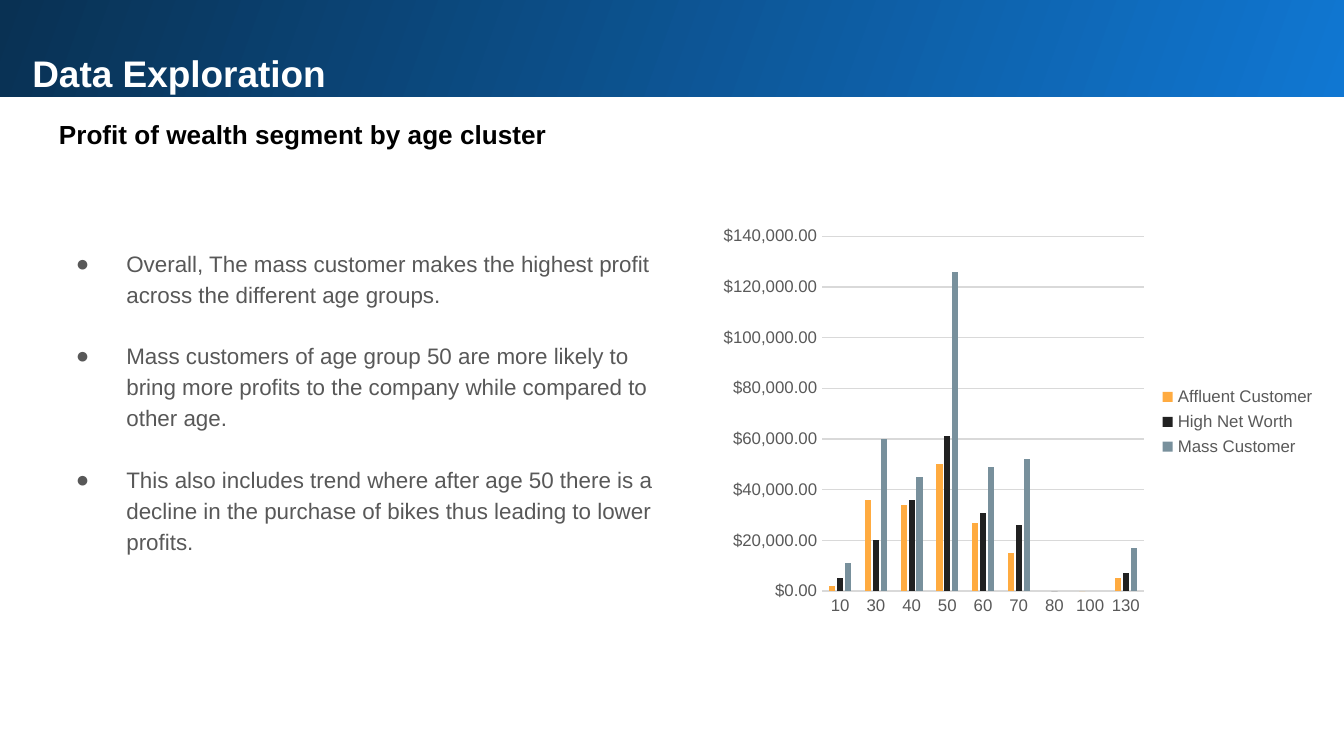
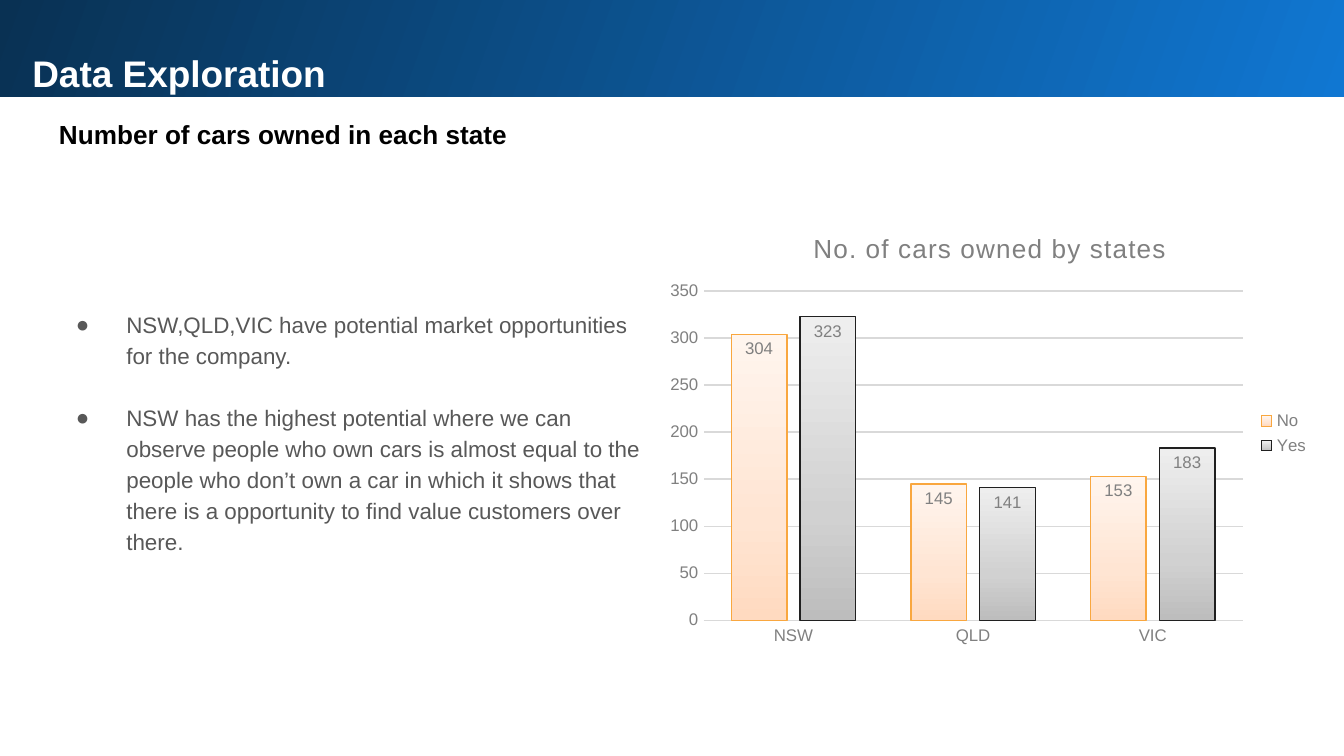
from copy import deepcopy

from lxml import etree
from pptx import Presentation
from pptx.chart.data import CategoryChartData
from pptx.dml.color import RGBColor
from pptx.enum.chart import (XL_CHART_TYPE, XL_LABEL_POSITION,
                             XL_LEGEND_POSITION, XL_TICK_MARK)
from pptx.enum.text import MSO_ANCHOR, MSO_AUTO_SIZE, PP_ALIGN
from pptx.oxml.ns import qn
from pptx.util import Pt

COLUMNS = XL_CHART_TYPE.COLUMN_CLUSTERED
INSIDE_END = XL_LABEL_POSITION.INSIDE_END
LEGEND_RIGHT = XL_LEGEND_POSITION.RIGHT
NO_TICK = XL_TICK_MARK.NONE
TOP, BOTTOM = MSO_ANCHOR.TOP, MSO_ANCHOR.BOTTOM
NO_AUTOFIT = MSO_AUTO_SIZE.NONE
LEFT = PP_ALIGN.LEFT

WHITE = RGBColor(0xFF, 0xFF, 0xFF)
BLACK = RGBColor(0x00, 0x00, 0x00)
BODY_GRAY = RGBColor(0x58, 0x58, 0x58)
AXIS_GRAY = RGBColor(0x59, 0x59, 0x59)
MID_GRAY = RGBColor(0x80, 0x80, 0x80)
GRID_GRAY = RGBColor(0xD9, 0xD9, 0xD9)
BAND_BLUE = RGBColor(0x10, 0x77, 0xD2)
BAND_NAVY = RGBColor(0x09, 0x31, 0x53)
AMBER = RGBColor(0xFF, 0xAB, 0x40)
CHARCOAL = RGBColor(0x21, 0x21, 0x21)
SLATE = RGBColor(0x78, 0x90, 0x9C)
ORANGE_LINE = RGBColor(0xF9, 0xA7, 0x3F)
DARK_LINE = RGBColor(0x20, 0x20, 0x20)
PEACH_STOPS = ((0, RGBColor(0xFF, 0xDA, 0xC0)), (0.35, RGBColor(0xFF, 0xE5, 0xD3)),
               (1, RGBColor(0xFF, 0xF5, 0xEE)))
SILVER_STOPS = ((0, RGBColor(0xBD, 0xBD, 0xBD)), (0.35, RGBColor(0xD1, 0xD1, 0xD1)),
                (1, RGBColor(0xEE, 0xEE, 0xEE)))
BAND_STOPS = ((0, BAND_BLUE), (1, BAND_NAVY))

FONT = "Arial"
SLIDE_WIDTH, SLIDE_HEIGHT = 720, 405
BAND_HEIGHT = 51.84
MARGIN = 24.5
BODY_LINE = 16.5


def place(shape, left, top, width, height):
    """Set the position and size of a shape in points."""
    shape.left, shape.top = Pt(left), Pt(top)
    shape.width, shape.height = Pt(width), Pt(height)


def style_font(font, size, color, bold=False):
    """Give a font the shared typeface and its own size and colour."""
    font.name, font.size, font.bold = FONT, Pt(size), bold
    font.color.rgb = color


def write_text(shape, lines, size=12, color=BLACK, bold=False, anchor=TOP,
               insets=(7.2, 3.6, 7.2, 3.6), line_spacing=1.0, gap=0):
    """Write paragraphs into a shape and return them."""
    frame = shape.text_frame
    frame.word_wrap, frame.auto_size = True, NO_AUTOFIT
    frame.vertical_anchor = anchor
    (frame.margin_left, frame.margin_top,
     frame.margin_right, frame.margin_bottom) = map(Pt, insets)
    frame.text = "\n".join(lines)
    for paragraph in frame.paragraphs:
        paragraph.alignment = LEFT
        paragraph.line_spacing = line_spacing
        paragraph.space_before, paragraph.space_after = Pt(0), Pt(gap)
        style_font(paragraph.runs[0].font, size, color, bold)
    return frame.paragraphs


def add_bullet(paragraph):
    """Give a paragraph a round bullet with a hanging indent."""
    properties = paragraph._p.get_or_add_pPr()
    properties.set("marL", str(Pt(36)))
    properties.set("indent", str(Pt(-27)))
    bullet_color = etree.SubElement(properties, qn("a:buClr"))
    etree.SubElement(bullet_color, qn("a:srgbClr"), val=str(BODY_GRAY))
    etree.SubElement(properties, qn("a:buFont"), typeface=FONT)
    etree.SubElement(properties, qn("a:buChar"), char="●")


def fill_gradient(element, fill, stops, angle):
    """Fill with a linear gradient through the given stops."""
    fill.gradient()
    fill.gradient_angle = angle
    stop_list = element.xpath(".//a:gsLst")[0]
    while len(stop_list) < len(stops):
        stop_list.append(deepcopy(stop_list[0]))
    for stop, (position, color) in zip(fill.gradient_stops, stops):
        stop.position = position
        stop.color.rgb = color


def add_exploration_slide(presentation, subtitle, bullets, body_width, lines_above):
    """Add a slide with the title band, a subtitle and a bullet list."""
    slide = presentation.slides.add_slide(presentation.slide_layouts[1])
    title, body = slide.placeholders
    place(title, 0, 0, SLIDE_WIDTH, BAND_HEIGHT)
    fill_gradient(title._element, title.fill, BAND_STOPS, 160)
    write_text(title, ["Data Exploration"], size=19.8, color=WHITE, bold=True,
               anchor=BOTTOM, insets=(17.3, 0, 3.6, 1))
    place(body, MARGIN, 91.5, body_width, 281.5)
    for paragraph in write_text(body, bullets, color=BODY_GRAY, line_spacing=1.15,
                                insets=(7.2, 7.2 + lines_above * BODY_LINE, 7.2, 7.2),
                                gap=BODY_LINE):
        add_bullet(paragraph)
    heading = slide.shapes.add_textbox(Pt(MARGIN), Pt(59.8), Pt(462), Pt(24.5))
    write_text(heading, [subtitle], size=14, bold=True)
    return slide


def style_axis(axis, color):
    """Format the labels and line of an axis."""
    axis.major_tick_mark = axis.minor_tick_mark = NO_TICK
    style_font(axis.tick_labels.font, 9, color)
    axis.format.line.color.rgb = GRID_GRAY
    axis.format.line.width = Pt(0.75)


def set_plot_layout(chart, fractions):
    """Fix the inner plot area as fractions of the chart."""
    plot_area = chart._chartSpace.chart.plotArea
    for old_layout in plot_area.findall(qn("c:layout")):
        plot_area.remove(old_layout)
    layout = etree.Element(qn("c:layout"))
    manual = etree.SubElement(layout, qn("c:manualLayout"))
    settings = [("layoutTarget", "inner"), ("xMode", "edge"), ("yMode", "edge")]
    settings += zip("xywh", fractions)
    for name, value in settings:
        etree.SubElement(manual, qn(f"c:{name}"), val=str(value))
    plot_area.insert(0, layout)


def add_column_chart(slide, box, categories, series_values, color, gap, overlap,
                     scale, layout, number_format="General"):
    """Add a clustered column chart with a legend on the right."""
    data = CategoryChartData(number_format=number_format)
    data.categories = categories
    for name, values in series_values.items():
        data.add_series(name, values)
    chart = slide.shapes.add_chart(COLUMNS, *map(Pt, box), data).chart
    style_font(chart.font, 10, BLACK)
    chart.has_title = False
    chart.has_legend = True
    chart.legend.position = LEGEND_RIGHT
    chart.legend.include_in_layout = False
    style_font(chart.legend.font, 9, color)
    plot = chart.plots[0]
    plot.gap_width, plot.overlap = gap, overlap
    plot.vary_by_categories = False
    style_axis(chart.category_axis, color)
    value_axis = chart.value_axis
    style_axis(value_axis, color)
    value_axis.format.line.fill.background()
    value_axis.minimum_scale = 0
    value_axis.maximum_scale, value_axis.major_unit = scale
    value_axis.tick_labels.number_format = number_format
    value_axis.tick_labels.number_format_is_linked = False
    gridline = value_axis.major_gridlines.format.line
    gridline.color.rgb, gridline.width = GRID_GRAY, Pt(0.75)
    set_plot_layout(chart, layout)
    return chart


def add_chart_title(chart, text):
    """Put a lightly spaced gray title above a chart."""
    frame = chart.chart_title.text_frame
    frame.text = text
    run = frame.paragraphs[0].runs[0]
    style_font(run.font, 14, MID_GRAY)
    run._r.get_or_add_rPr().set("spc", "50")
    chart.chart_title.include_in_layout = False


def style_gradient_series(series, stops, line_color):
    """Give a series a gradient, an outline and value labels."""
    fill_gradient(series._element, series.format.fill, stops, 90)
    series.format.line.color.rgb = line_color
    series.format.line.width = Pt(0.75)
    labels = series.data_labels
    labels.show_value = True
    labels.position = INSIDE_END
    style_font(labels.font, 9, MID_GRAY)


def build_profit_slide(presentation):
    """Build the slide on profit by age cluster."""
    slide = add_exploration_slide(
        presentation, "Profit of wealth segment by age cluster",
        ["Overall, The mass customer makes the highest profit across the "
         "different age groups.",
         "Mass customers of age group 50 are more likely to bring more profits "
         "to the company while compared to other age.",
         "This also includes trend where after age 50 there is a decline in the "
         "purchase of bikes thus leading to lower profits."],
        body_width=348.5, lines_above=2)
    profits = {
        "Affluent Customer": (2000, 36000, 34000, 50000, 27000, 15000, None, 0, 5000),
        "High Net Worth": (5000, 20000, 36000, 61000, 31000, 26000, 0, None, 7000),
        "Mass Customer": (11000, 60000, 45000, 126000, 49000, 52000, None, None, 17000),
    }
    ages = ["10", "30", "40", "50", "60", "70", "80", "100", "130"]
    chart = add_column_chart(
        slide, (381, 118, 331, 216), ages, profits, AXIS_GRAY, gap=219, overlap=-27,
        scale=(140000, 20000), layout=(0.18, 0.04, 0.52, 0.88),
        number_format="[$$-409]#,##0.00")
    for series, color in zip(chart.series, (AMBER, CHARCOAL, SLATE)):
        series.format.fill.solid()
        series.format.fill.fore_color.rgb = color


def build_cars_slide(presentation):
    """Build the slide on car ownership by state."""
    slide = add_exploration_slide(
        presentation, "Number of cars owned in each state",
        ["NSW,QLD,VIC have potential market opportunities for the company.",
         "NSW has the highest potential where we can observe people who own cars "
         "is almost equal to the people who don’t own a car in which it shows "
         "that there is a opportunity to find value customers over there."],
        body_width=327.5, lines_above=4)
    owners = {"No": (304, 145, 153), "Yes": (323, 141, 183)}
    chart = add_column_chart(
        slide, (352, 113, 356.5, 238.5), ["NSW", "QLD", "VIC"], owners, MID_GRAY,
        gap=100, overlap=-24, scale=(350, 50), layout=(0.07, 0.18, 0.81, 0.74))
    add_chart_title(chart, "No. of cars owned by states")
    no_series, yes_series = chart.series
    style_gradient_series(no_series, PEACH_STOPS, ORANGE_LINE)
    style_gradient_series(yes_series, SILVER_STOPS, DARK_LINE)


def main():
    """Build and save the presentation."""
    presentation = Presentation()
    presentation.slide_width = Pt(SLIDE_WIDTH)
    presentation.slide_height = Pt(SLIDE_HEIGHT)
    build_profit_slide(presentation)
    build_cars_slide(presentation)
    presentation.save("out.pptx")


if __name__ == "__main__":
    main()
